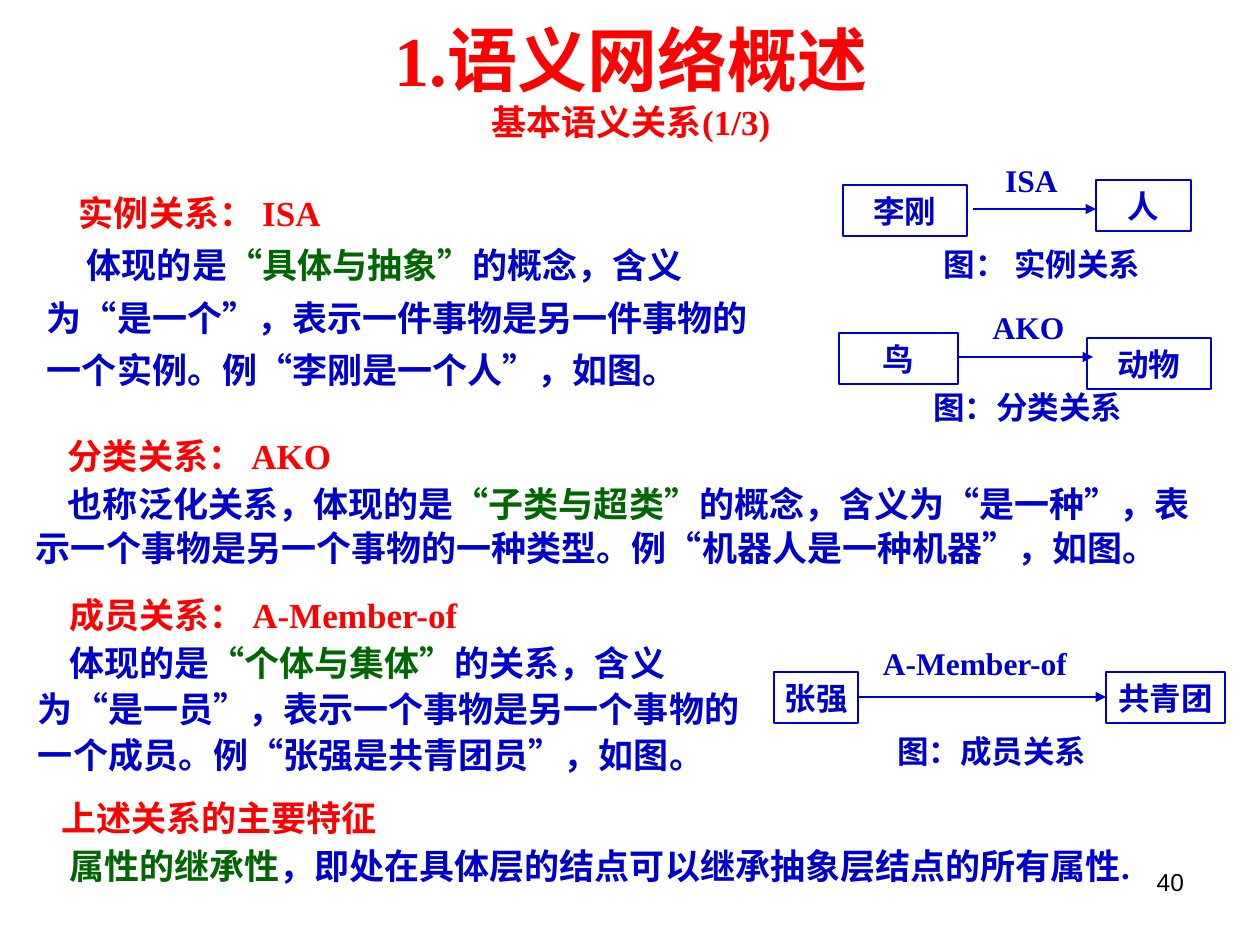
from dataclasses import dataclass

from lxml import etree
from pptx import Presentation
from pptx.dml.color import RGBColor
from pptx.enum.shapes import MSO_CONNECTOR, MSO_SHAPE
from pptx.enum.text import MSO_ANCHOR, MSO_AUTO_SIZE, PP_ALIGN
from pptx.oxml.ns import qn
from pptx.util import Emu, Pt

LEFT, CENTER, RIGHT = PP_ALIGN.LEFT, PP_ALIGN.CENTER, PP_ALIGN.RIGHT
TOP, MIDDLE = MSO_ANCHOR.TOP, MSO_ANCHOR.MIDDLE
RECT, STRAIGHT = MSO_SHAPE.RECTANGLE, MSO_CONNECTOR.STRAIGHT
NO_FIT = MSO_AUTO_SIZE.NONE
TITLE_ONLY = 5
SCALE = 914400 / 126


@dataclass(frozen=True)
class Theme:
    red: str = "FF0000"
    blue: str = "0000CC"
    green: str = "006600"
    black: str = "000000"
    serif: str = "Times New Roman"
    sans: str = "Arial"
    title: int = 40
    body: int = 20
    label: int = 18
    number: int = 14
    line: float = 0.75


T = Theme()


def px(*values):
    return [Emu(round(v * SCALE)) for v in values]


def write(p, text, size=T.body, color=T.blue, font=T.serif, bold=True):
    """Add one formatted run to a paragraph."""
    r = p.add_run()
    r.text = text
    r.font.size, r.font.name, r.font.bold = Pt(size), font, bold
    r.font.color.rgb = RGBColor.from_string(color)


def set_frame(tf, margins=(13, 6), anchor=TOP, wrap=True):
    tf.auto_size, tf.word_wrap, tf.vertical_anchor = NO_FIT, wrap, anchor
    tf.margin_left = tf.margin_right = px(margins[0])[0]
    tf.margin_top = tf.margin_bottom = px(margins[1])[0]
    return tf


def add_title(s, box, title, subtitle):
    sp = s.shapes.title
    sp.left, sp.top, sp.width, sp.height = px(*box)
    p = set_frame(sp.text_frame, anchor=MIDDLE).paragraphs[0]
    p.alignment = CENTER
    write(p, title, size=T.title, color=T.red)
    p.add_line_break()
    write(p, subtitle, color=T.red)


def add_section(s, box, heading, runs, indents, spacing, before=0, after=0):
    """Red heading above a paragraph of coloured runs."""
    tf = set_frame(s.shapes.add_textbox(*px(*box)).text_frame)
    content = [[(heading, T.red)], runs]
    for i, (parts, indent) in enumerate(zip(content, indents)):
        p = tf.add_paragraph() if i else tf.paragraphs[0]
        p.line_spacing, p.space_after = spacing, Pt(after)
        if i:
            p.space_before = Pt(before)
        p._p.get_or_add_pPr().set("indent", str(px(indent)[0]))
        for text, color in parts:
            write(p, text, color=color)


def add_diagram(s, origin, nodes, arrow, label, caption, node_font=T.serif):
    """Two boxed nodes, a labelled arrow and a caption, relative to origin."""
    x0, y0 = origin
    shapes = s.shapes.add_group_shape().shapes

    # Nodes
    for text, x, y, w, h in nodes:
        sp = shapes.add_shape(RECT, *px(x0 + x, y0 + y, w, h))
        sp.shadow.inherit = False
        sp.fill.background()
        sp.line.color.rgb = RGBColor.from_string(T.blue)
        sp.line.width = Pt(T.line)
        p = set_frame(sp.text_frame, (8, 6), MIDDLE, False).paragraphs[0]
        p.alignment = CENTER
        write(p, text, size=T.label, font=node_font)

    # Arrow
    x1, x2, y = arrow
    line = shapes.add_connector(
        STRAIGHT, *px(x0 + x1, y0 + y, x0 + x2, y0 + y))
    line.line.color.rgb = RGBColor.from_string(T.blue)
    line.line.width = Pt(T.line)
    etree.SubElement(line.line._get_or_add_ln(), qn("a:tailEnd"),
                     type="triangle")
    etree.SubElement(line._element.spPr, qn("a:effectLst"))

    # Relation label and caption
    for text, x, y, w in (label, caption):
        sp = shapes.add_textbox(*px(x0 + x, y0 + y, w, 40))
        p = set_frame(sp.text_frame, (3, 1), MIDDLE, False).paragraphs[0]
        p.alignment = CENTER
        write(p, text, size=T.label)


def add_number(s, box, number):
    p = set_frame(s.shapes.add_textbox(*px(*box)).text_frame).paragraphs[0]
    p.alignment = RIGHT
    write(p, number, size=T.number, color=T.black, font=T.sans, bold=False)


def main():
    prs = Presentation()
    prs.slide_width, prs.slide_height = px(1260, 945)
    s = prs.slides.add_slide(prs.slide_layouts[TITLE_ONLY])

    add_title(s, (64, 21, 1134, 118), "1.语义网络概述", "基本语义关系(1/3)")
    add_number(s, (903, 861, 294, 66), "40")

    # Instance relation
    add_section(
        s, (34, 175, 755, 223), "实例关系： ISA",
        [("体现的是", T.blue), ("“具体与抽象”", T.green),
         ("的概念，含义为“是一个”，表示一件事物是另一件事物的一个实例。"
          "例“李刚是一个人”，如图。", T.blue)],
        indents=(32, 40), spacing=Pt(30))
    add_diagram(
        s, (843, 160),
        nodes=[("李刚", 0, 25, 124, 51), ("人", 253, 20, 95, 51)],
        arrow=(130, 253, 49), label=("ISA", 154, 0, 69),
        caption=("图： 实例关系", 40, 84, 318))

    # Class relation
    add_section(
        s, (23, 426, 1211, 150), "分类关系： AKO",
        [("也称泛化关系，体现的是", T.blue), ("“子类与超类”", T.green),
         ("的概念，含义为“是一种”，表示一个事物是另一个事物的一种类型。"
          "例“机器人是一种机器”，如图。", T.blue)],
        indents=(32, 32), spacing=1.05, before=1.2, after=1.2)
    add_diagram(
        s, (839, 307),
        nodes=[("鸟", 0, 26, 119, 51), ("动物", 248, 31, 124, 51)],
        arrow=(119, 254, 50), label=("AKO", 150, 0, 79),
        caption=("图：分类关系", 30, 80, 318))

    # Member relation
    add_section(
        s, (25, 583, 740, 200), "成员关系： A-Member-of",
        [("体现的是", T.blue), ("“个体与集体”", T.green),
         ("的关系，含义为“是一员”，表示一个事物是另一个事物的一个成员。"
          "例“张强是共青团员”，如图。", T.blue)],
        indents=(31, 31), spacing=1.1, before=1.2)
    add_diagram(
        s, (774, 641),
        nodes=[("张强", 0, 31, 84, 51), ("共青团", 332, 31, 119, 51)],
        arrow=(84, 332, 56), label=("A-Member-of", 97, 2, 208),
        caption=("图：成员关系", 59, 90, 318), node_font=T.sans)

    # Shared feature
    add_section(
        s, (25, 788, 1206, 106), "上述关系的主要特征",
        [("属性的继承性", T.green),
         ("，即处在具体层的结点可以继承抽象层结点的所有属性.", T.blue)],
        indents=(23, 31), spacing=1.05, before=1.2, after=1.2)

    prs.save("out.pptx")


if __name__ == "__main__":
    main()
